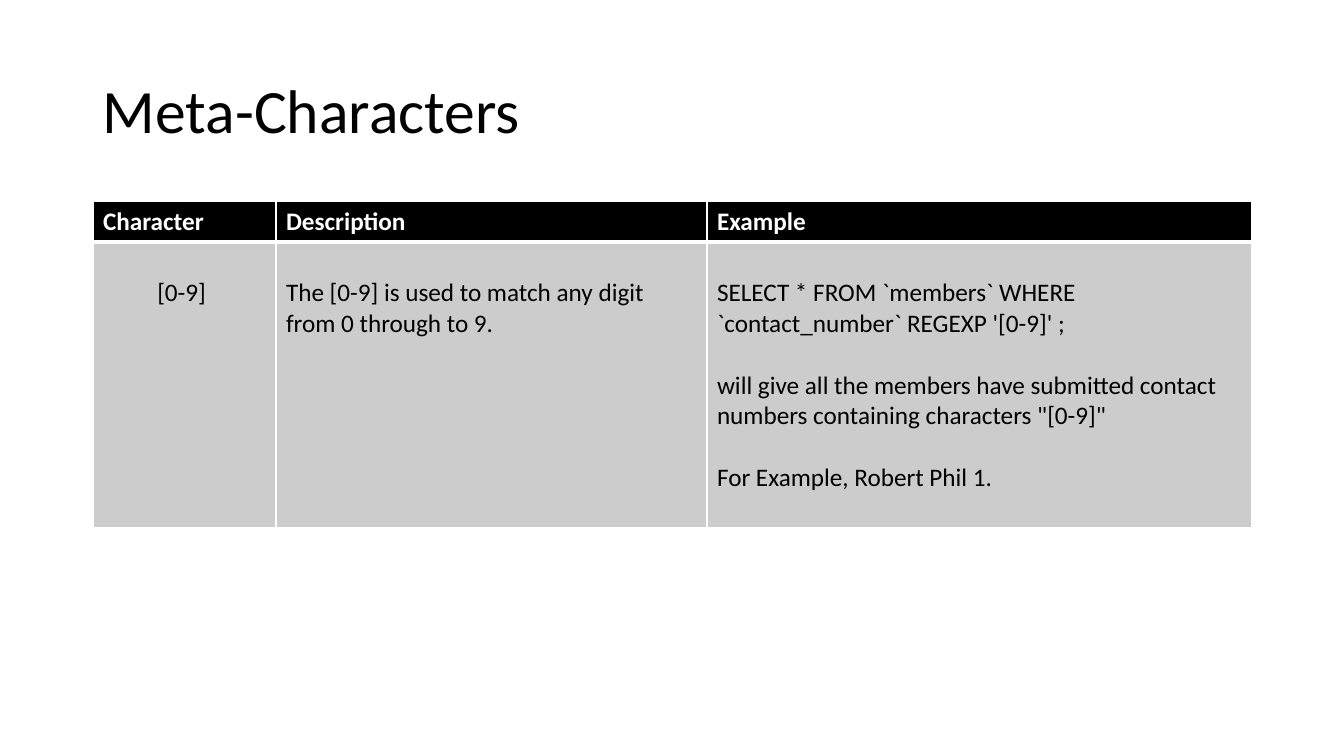
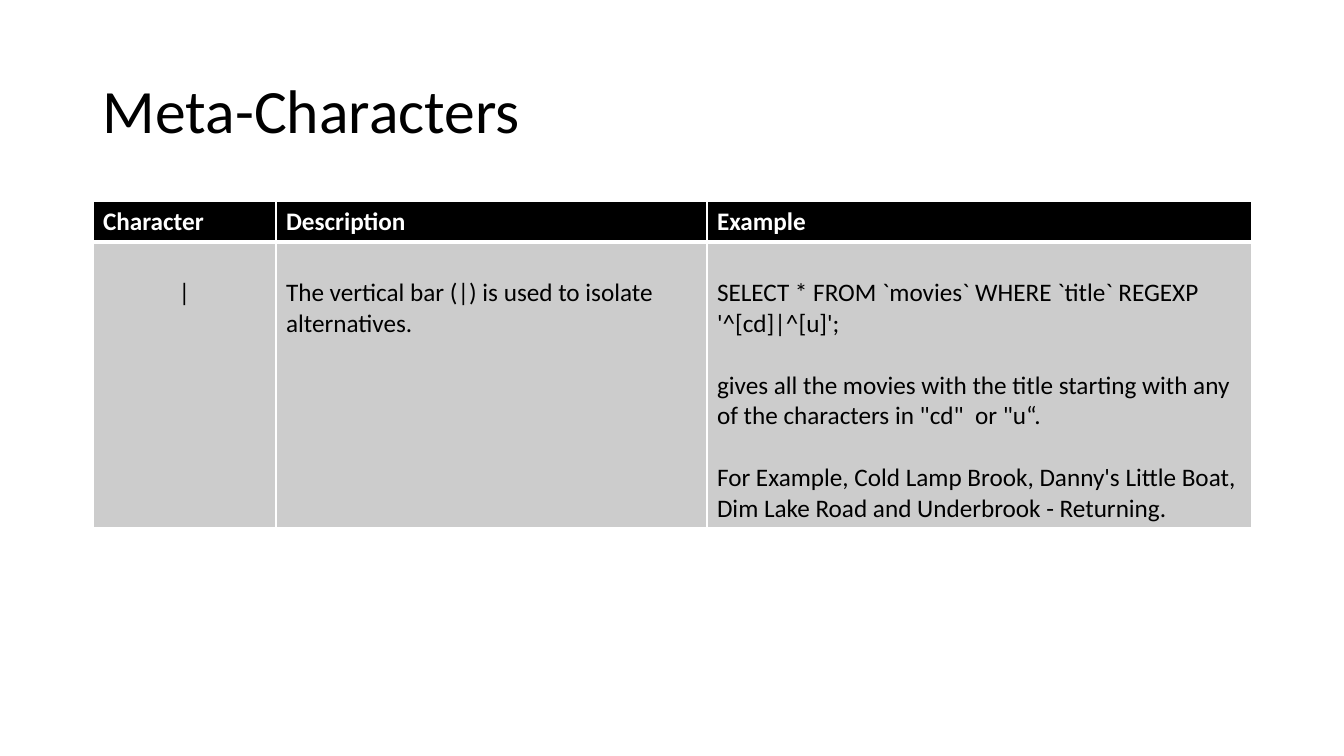
from lxml import etree
from pptx import Presentation, util as u
from pptx.dml.color import RGBColor
from pptx.enum import text
from pptx.oxml import ns

BLACK = RGBColor(0x00, 0x00, 0x00)
WHITE = RGBColor(0xFF, 0xFF, 0xFF)
GREY = RGBColor(0xCC, 0xCC, 0xCC)
FONT = "Calibri"
BODY_SIZE = 18

SLIDE = (1344, 756)
TITLE_BOX = (93, 41, 1159, 146)
TABLE_BOX = (93, 201, 1159, 327)
COLUMNS = (183, 431, 545)
HEADER_HEIGHT = 41
LINE = u.Pt(22)
HEADINGS = ("Character", "Description", "Example")

# Wording of each slide: character, description, paragraphs of the example
META_CHARACTERS = [
    ("[0-9] ",
     "The [0-9] is used to match any digit from 0 through to 9.",
     ["SELECT * FROM `members` WHERE `contact_number` REGEXP '[0-9]' ;",
      'will give all the members have submitted contact numbers containing characters "[0-9]" ',
      "For Example, Robert Phil 1."]),
    ("|",
     "The vertical bar (|) is used to isolate alternatives.",
     ["SELECT * FROM `movies` WHERE `title` REGEXP '^[cd]|^[u]'; ",
      'gives all the movies with the title starting with any of the characters in "cd"  or "u\u201c.',
      "For Example, Cold Lamp Brook, Danny's Little Boat, "
      "Dim Lake Road and Underbrook - Returning."]),
]


def px(pixels):
    return u.Emu(round(pixels * 914400 / 100.8))


def add_run(paragraph, words, size, color, bold=False):
    run = paragraph.add_run()
    run.text = words
    font = run.font
    font.name, font.size, font.bold = FONT, u.Pt(size), bold
    font.color.rgb = color


def add_title(slide, box, words):
    frame = slide.shapes.add_textbox(*map(px, box)).text_frame
    frame.word_wrap = True
    frame.vertical_anchor = text.MSO_ANCHOR.MIDDLE
    heading = frame.paragraphs[0]
    heading.line_spacing = 0.9
    add_run(heading, words, 44, BLACK)


def set_borders(cell, **widths):
    properties = cell._tc.get_or_add_tcPr()
    for side in "LRTB":
        line = etree.SubElement(properties, ns.qn("a:ln" + side),
                                w=str(u.Pt(widths.get(side, 1))))
        fill = etree.SubElement(line, ns.qn("a:solidFill"))
        etree.SubElement(fill, ns.qn("a:srgbClr"), val=str(WHITE))


def fill_cell(cell, paragraphs, background, color, bold=False, align=None):
    cell.fill.solid()
    cell.fill.fore_color.rgb = background
    frame = cell.text_frame
    for index, words in enumerate(paragraphs):
        paragraph = frame.add_paragraph() if index else frame.paragraphs[0]
        paragraph.alignment = align
        if index:
            paragraph.space_before = LINE
        add_run(paragraph, words, BODY_SIZE, color, bold)


def add_reference_table(slide, box, character, description, example):
    table = slide.shapes.add_table(2, len(COLUMNS), *map(px, box)).table
    table.horz_banding = False
    for column, width in zip(table.columns, COLUMNS):
        column.width = px(width)
    table.rows[0].height = px(HEADER_HEIGHT)
    table.rows[1].height = px(box[3] - HEADER_HEIGHT)

    # Header row
    for index, heading in enumerate(HEADINGS):
        cell = table.cell(0, index)
        set_borders(cell, B=3)
        fill_cell(cell, [heading], BLACK, WHITE, bold=True)

    # Body row, starting one line down
    for index, paragraphs in enumerate(([character], [description], example)):
        cell = table.cell(1, index)
        set_borders(cell, T=3)
        cell.margin_top = u.Emu(u.Inches(0.05) + LINE)
        fill_cell(cell, paragraphs, GREY, BLACK,
                  align=None if index else text.PP_ALIGN.CENTER)


def add_meta_character_slide(deck, entry):
    slide = deck.slides.add_slide(deck.slide_layouts[6])
    add_title(slide, TITLE_BOX, "Meta-Characters")
    add_reference_table(slide, TABLE_BOX, *entry)


deck = Presentation()
deck.slide_width, deck.slide_height = map(px, SLIDE)
for entry in META_CHARACTERS:
    add_meta_character_slide(deck, entry)
deck.save("out.pptx")
